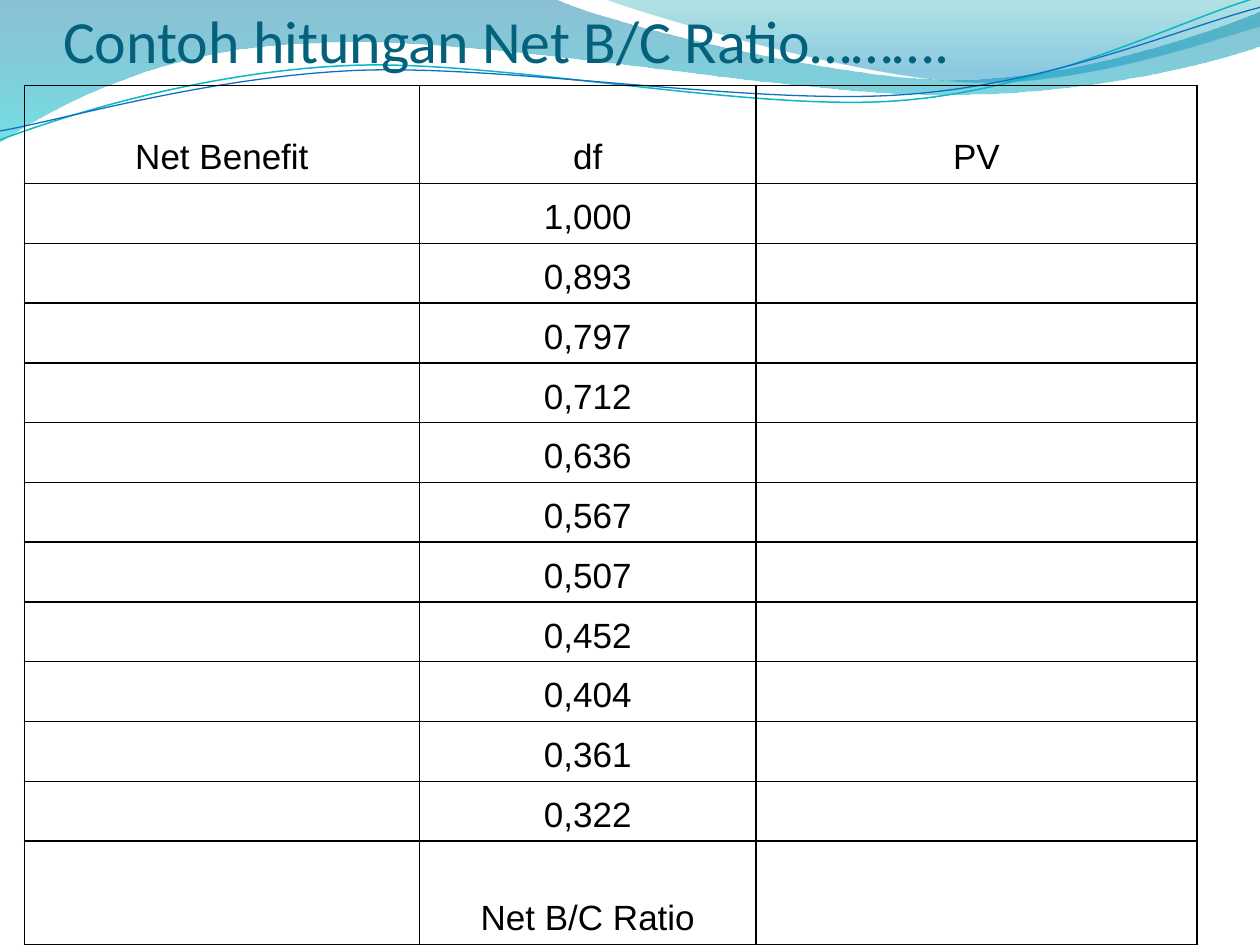
from math import cos, radians, sin
from lxml.etree import SubElement
from pptx import Presentation
from pptx.dml.color import RGBColor
from pptx.enum.text import MSO_ANCHOR, MSO_AUTO_SIZE, PP_ALIGN
from pptx.oxml import parse_xml
from pptx.oxml.ns import nsdecls, qn
from pptx.util import Cm, Pt

HUES = {"title": "04617B", "ink": "000000", "deep": "0074A1", "aqua": "00C6CF",
        "teal": "00A1A9", "sky": "008BBF", "wave": "0AB8BF", "blue": "0F6FC6"}
BAND = [(0, 0), (11.18, -0.03), (12.09, 0.43, 16.87, 1.6, 19.25, 1.6),
        (21.67, 1.6, 24.33, 0.66, 25.4, 0.23), (25.43, 0.91),
        (24.97, 1.12, 22.1, 1.93, 18.95, 1.91), (15.8, 1.91, 9.7, 0.71, 6.53, 0.86),
        (3.28, 0.91, 1.17, 2.11, -0.03, 2.87), (0, 0)]
FOLD = [(12.17, -0.03), (12.93, 0.28, 17.32, 1.57, 19.53, 1.65),
        (21.74, 1.75, 24.41, 0.81, 25.4, 0.53), (25.4, 0), (12.17, -0.03)]
TEAL = [(0, 2.82), (1.22, 2.36, 4.01, 1.45, 7.04, 1.32),
        (10.03, 1.19, 15.06, 2.26, 18.11, 2.03), (21.16, 1.8, 23.83, 0.38, 25.35, -0.05)]
BLUE = [(0, 2.64), (1.19, 2.44, 4.17, 1.55, 7.19, 1.42),
        (10.24, 1.3, 15.16, 2.13, 18.21, 1.91), (21.23, 1.7, 23.9, 0.53, 25.4, 0.15)]
RATES = ["1,000", "0,893", "0,797", "0,712", "0,636", "0,567",
         "0,507", "0,452", "0,404", "0,361", "0,322"]


def tint(name):
    """Return the named colour."""
    return RGBColor.from_string(HUES[name])


def write(frame, text, size, font, hue, align):
    """Put formatted text into a text frame."""
    para = frame.paragraphs[0]
    para.alignment = align
    run = para.add_run()
    run.text = text
    run.font.size, run.font.name = Pt(size), font
    run.font.bold = False
    run.font.color.rgb = tint(hue)


def turn(spot, mid, angle):
    """Turn a point clockwise about a centre."""
    x, y = spot[0] - mid[0], spot[1] - mid[1]
    c, s = cos(radians(angle)), sin(radians(angle))
    return mid[0] + x * c - y * s, mid[1] + x * s + y * c


def outline(slide, box, path, close=False, mid=(0, 0), angle=0):
    """Draw lines and cubic curves as a freeform placed from the box corner."""
    spots = [turn(part[i:i + 2], mid, angle) for part in path
             for i in range(0, len(part), 2)]
    spots = [(Cm(box[0] + x), Cm(box[1] + y)) for x, y in spots]
    pen = slide.shapes.build_freeform(*spots[0], scale=1.0)
    pen.add_line_segments(spots[1:], close=close)
    shape = pen.convert_to_shape()
    lines = iter(list(shape.element.iter(qn("a:lnTo"))))
    for part in path[1:]:
        line = next(lines)
        if len(part) == 6:
            line.tag = qn("a:cubicBezTo")
            for _ in range(2):
                more = next(lines)
                line.append(more[0])
                more.getparent().remove(more)
    shape.rotation = -angle
    shape.shadow.inherit = False
    return shape


def sweep(slide, box):
    """Draw the shaded bands and the two thin waves."""
    bands = [(BAND, [("deep", 0, 45), ("aqua", 1, 55)]),
             (FOLD, [("teal", 0, 30), ("sky", 0.8, 45)])]
    for path, stops in bands:
        shape = outline(slide, box, path, close=True)
        shape.line.fill.background()
        shape.fill.gradient()
        shape.fill.gradient_angle = 270
        for stop, (hue, spot, _) in zip(shape.fill.gradient_stops, stops):
            stop.color.rgb = tint(hue)
            stop.position = spot
        for clr, (_, _, alpha) in zip(shape.element.spPr.iter(qn("a:srgbClr")), stops):
            SubElement(clr, qn("a:alpha")).set("val", str(alpha * 1000))
    waves = [(TEAL, "wave", 0.85, (12.67, 1.46)), (BLUE, "blue", 0.75, (12.69, 1.5))]
    for path, hue, width, mid in waves:
        shape = outline(slide, box, path, mid=mid, angle=2.7)
        shape.fill.background()
        shape.line.color.rgb = tint(hue)
        shape.line.width = Pt(width)


def head(slide, box, text):
    """Place the title in front of the waves."""
    title = slide.shapes.title
    slide.shapes.element.append(title.element)
    title.left, title.top, title.width, title.height = map(Cm, box)
    frame = title.text_frame
    frame.auto_size = MSO_AUTO_SIZE.NONE
    frame.word_wrap = True
    frame.vertical_anchor = MSO_ANCHOR.BOTTOM
    frame.margin_left = frame.margin_right = frame.margin_bottom = 0
    frame.margin_top = Cm(0.13)
    write(frame, text, size=34.2, font="Calibri", hue="title", align=PP_ALIGN.LEFT)


def rule(shape):
    """Give every cell of a table thin borders on all sides."""
    for prop in shape.element.iter(qn("a:tcPr")):
        for i, side in enumerate("LRTB"):
            prop.insert(i, parse_xml(
                f'<a:ln{side} {nsdecls("a")} w="12700"><a:solidFill>'
                f'<a:srgbClr val="{HUES["ink"]}"/></a:solidFill></a:ln{side}>'))


def grid(slide, box):
    """Build the table of discount factors."""
    rows = [["Net Benefit", "df", "PV"]]
    rows += [["", rate, ""] for rate in RATES + ["Net B/C Ratio"]]
    shape = slide.shapes.add_table(len(rows), 3, *map(Cm, box))
    table = shape.table
    table.first_row = table.horz_banding = False
    for col, width in zip(table.columns, (7.97, 6.78, 8.89)):
        col.width = Cm(width)
    top, foot = 1.98, 2.08
    step = (box[3] - top - foot) / len(RATES)
    for row, high in zip(table.rows, [top] + [step] * len(RATES) + [foot]):
        row.height = Cm(high)
    for r, row in enumerate(rows):
        for c, text in enumerate(row):
            cell = table.cell(r, c)
            cell.fill.background()
            if text:
                cell.vertical_anchor = MSO_ANCHOR.BOTTOM
                write(cell.text_frame, text, size=20, font="Arial", hue="ink",
                      align=PP_ALIGN.CENTER)
    for prop in shape.element.iter(qn("a:pPr")):
        prop.set("marL", str(Cm(0.95)))
        prop.set("indent", str(-Cm(0.95)))
    rule(shape)


def main():
    """Build and save the slide."""
    deck = Presentation()
    deck.slide_width, deck.slide_height = Cm(25.4), Cm(19.05)
    slide = deck.slides.add_slide(deck.slide_layouts[5])
    sweep(slide, (0, 0))
    head(slide, (1.27, 0, 22.86, 1.52), "Contoh hitungan Net B/C Ratio……….")
    grid(slide, (0.49, 1.72, 23.64, 17.32))
    deck.save("out.pptx")


if __name__ == "__main__":
    main()
